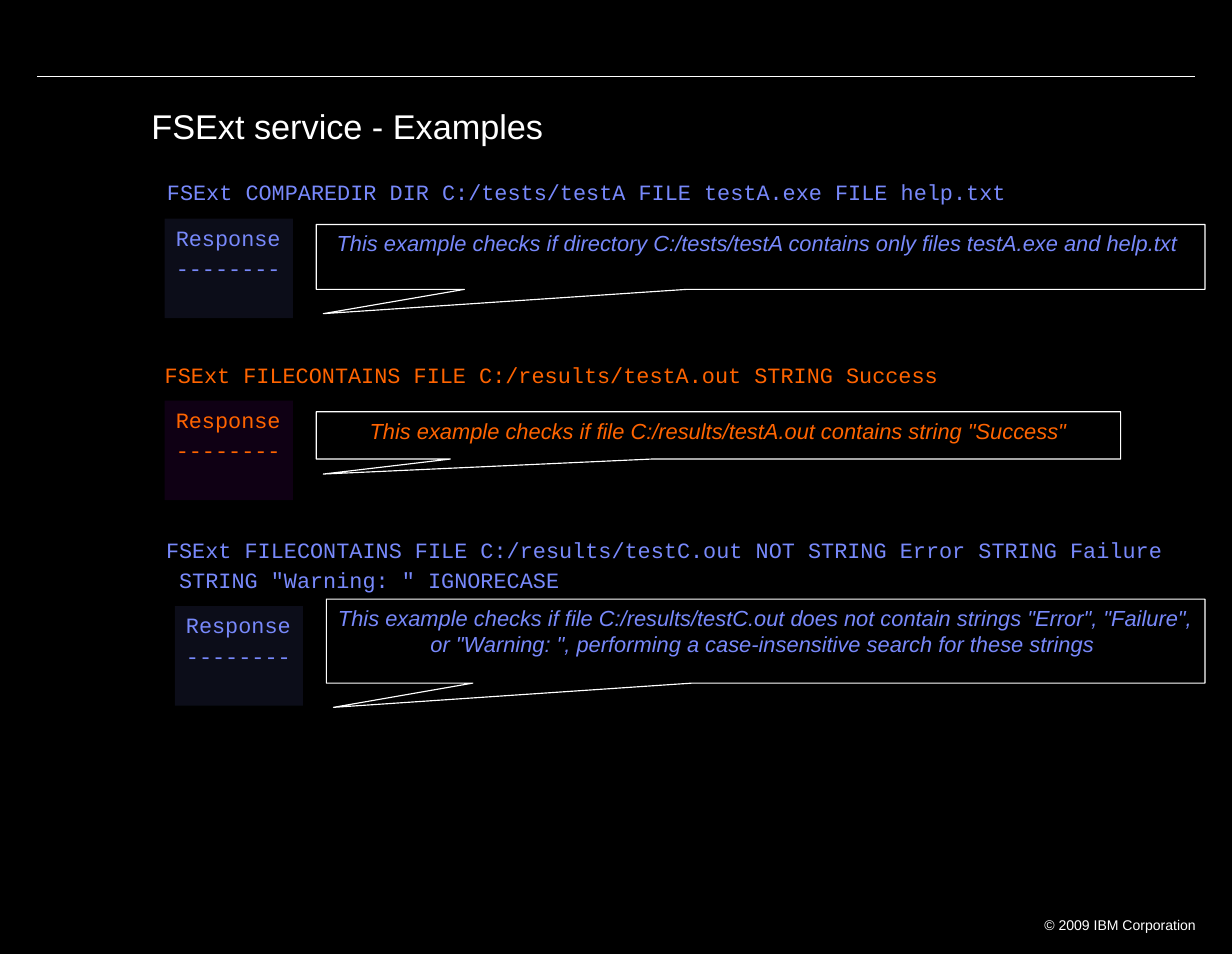
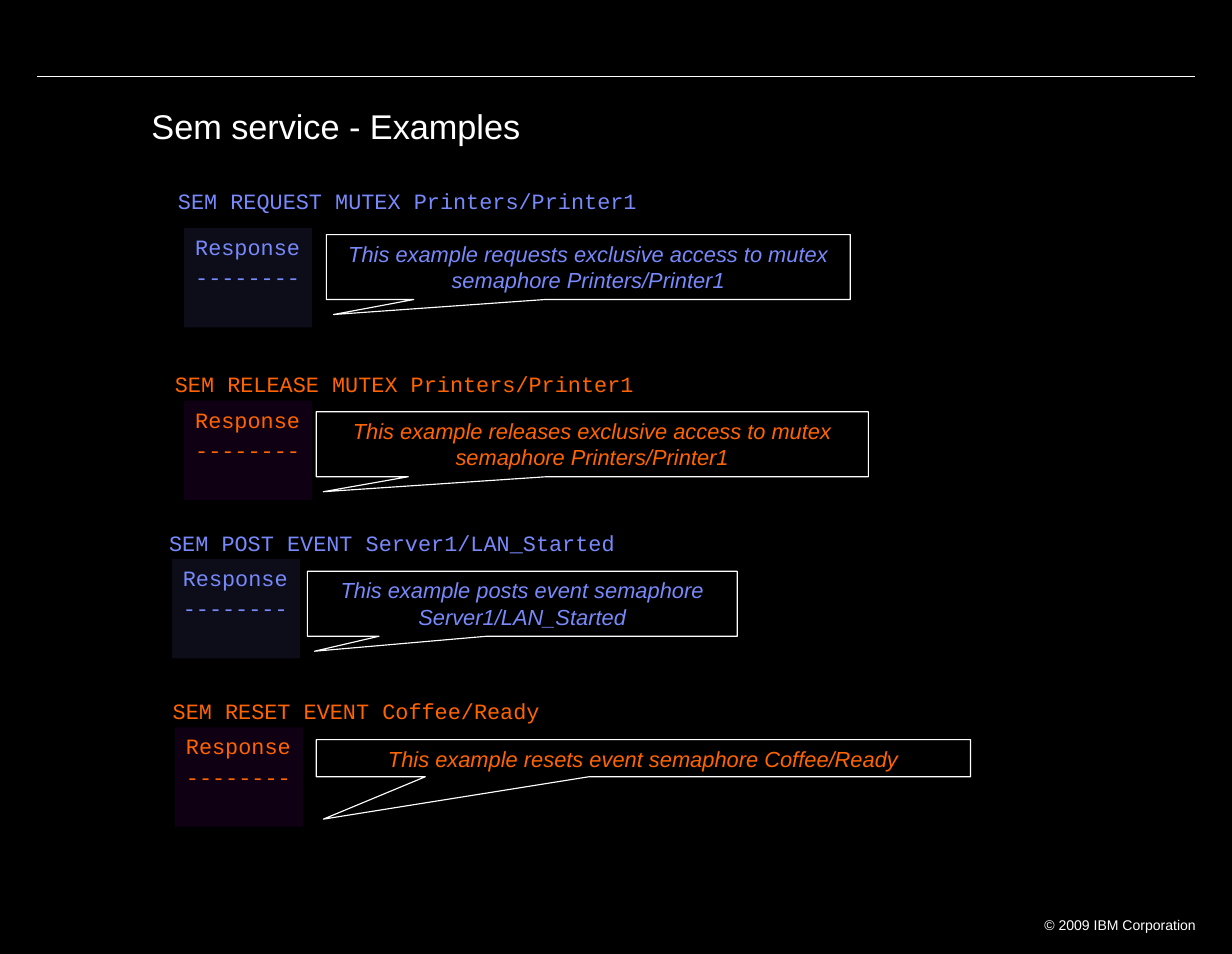
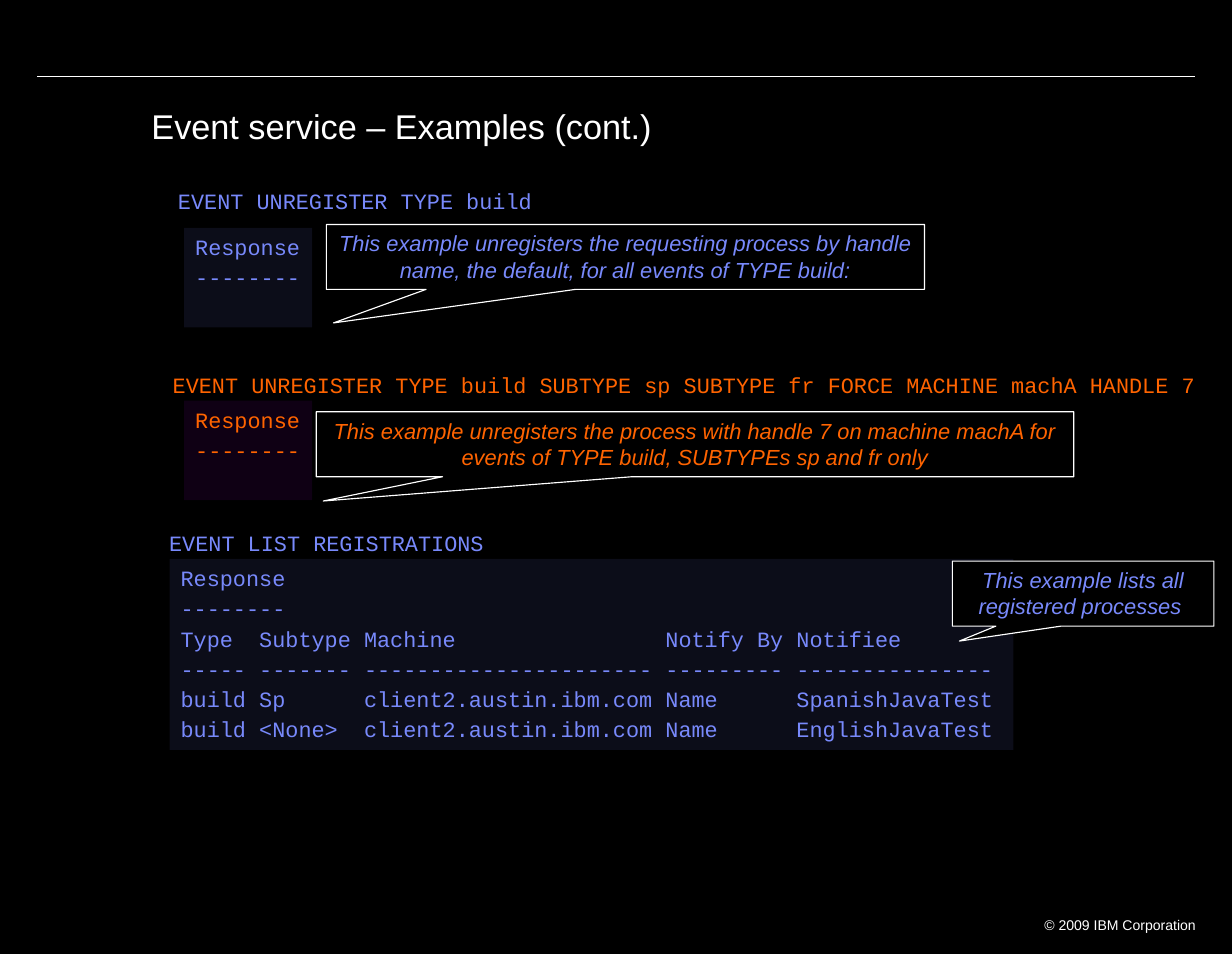
from lxml import etree
from pptx import Presentation
from pptx.dml.color import RGBColor
from pptx.enum.shapes import MSO_CONNECTOR, MSO_SHAPE
from pptx.enum.text import MSO_ANCHOR, MSO_AUTO_SIZE, PP_ALIGN
from pptx.oxml.ns import qn
from pptx.util import Cm, Pt

RECT, CALLOUT = MSO_SHAPE.RECTANGLE, MSO_SHAPE.RECTANGULAR_CALLOUT
STRAIGHT = MSO_CONNECTOR.STRAIGHT
LEFT, CENTER, RIGHT = PP_ALIGN.LEFT, PP_ALIGN.CENTER, PP_ALIGN.RIGHT
TOP, NO_FIT = MSO_ANCHOR.TOP, MSO_AUTO_SIZE.NONE

BLACK = RGBColor(0x00, 0x00, 0x00)
WHITE = RGBColor(0xFF, 0xFF, 0xFF)
BLUE = RGBColor(0x78, 0x89, 0xFB)
ORANGE = RGBColor(0xFF, 0x64, 0x00)
PURPLE = RGBColor(0x99, 0x00, 0xCC)
SCHEMES = [(BLUE, BLUE), (ORANGE, PURPLE)]  # text, response tint; used in turn

SANS, MONO = "Arial", "Courier New"
INSETS, WIDE_INSETS = (0.25, 0.13), (0.28, 0.15)
CHAR_W, LINE_H = 0.3, 0.69  # one 14 pt Courier New cell, in cm
TIP_X = 0.16  # callout tip, from the callout's left edge

FOOTER = "© 2009 IBM Corporation"
RESPONSE = ["Response", "--------"]
REGISTRATIONS = RESPONSE + [
    "Type  Subtype Machine                Notify By Notifiee",
    "----- ------- ---------------------- --------- ---------------",
    "build Sp      client2.austin.ibm.com Name      SpanishJavaTest",
    "build <None>  client2.austin.ibm.com Name      EnglishJavaTest",
]

# Each example: command lines and place, response lines and place,
# note, note box (left, top, width, height), drop of the note's tip.
SLIDES = [
    ("FSExt service - Examples", [
        (["FSExt COMPAREDIR DIR C:/tests/testA FILE testA.exe FILE help.txt"],
         (3.53, 3.91), RESPONSE, (3.73, 4.95),
         "This example checks if directory C:/tests/testA contains only files "
         "testA.exe and help.txt ",
         (7.16, 5.08, 20.12, 1.47), 0.55),
        (["FSExt FILECONTAINS FILE C:/results/testA.out STRING Success"],
         (3.48, 8.05), RESPONSE, (3.73, 9.07),
         'This example checks if file C:/results/testA.out contains string "Success"',
         (7.16, 9.32, 18.21, 1.07), 0.34),
        (["FSExt FILECONTAINS FILE C:/results/testC.out NOT STRING Error STRING Failure",
          ' STRING "Warning: " IGNORECASE'],
         (3.51, 12.01), RESPONSE, (3.96, 13.72),
         "This example checks if file C:/results/testC.out does not contain strings "
         '"Error", "Failure", or "Warning: ", performing a case-insensitive search '
         "for these strings ",
         (7.39, 13.56, 19.89, 1.9), 0.55),
    ]),
    ("Sem service - Examples", [
        (["SEM REQUEST MUTEX Printers/Printer1"],
         (3.78, 4.11), RESPONSE, (4.17, 5.16),
         "This example requests exclusive access to mutex semaphore Printers/Printer1",
         (7.39, 5.31, 11.86, 1.47), 0.34),
        (["SEM RELEASE MUTEX Printers/Printer1"],
         (3.71, 8.26), RESPONSE, (4.17, 9.07),
         "This example releases exclusive access to mutex semaphore Printers/Printer1",
         (7.16, 9.32, 12.5, 1.47), 0.34),
        (["SEM POST EVENT Server1/LAN_Started"],
         (3.58, 11.86), RESPONSE, (3.89, 12.65),
         "This example posts event semaphore Server1/LAN_Started",
         (6.96, 12.93, 9.73, 1.47), 0.34),
        (["SEM RESET EVENT Coffee/Ready"],
         (3.66, 15.67), RESPONSE, (3.96, 16.46),
         "This example resets event semaphore Coffee/Ready",
         (7.16, 16.74, 14.81, 0.84), 0.96),
    ]),
    ("Event service – Examples (cont.)", [
        (["EVENT UNREGISTER TYPE build"],
         (3.78, 4.11), RESPONSE, (4.17, 5.16),
         "This example unregisters the requesting process by handle name, "
         "the default, for all events of TYPE build:",
         (7.39, 5.08, 13.54, 1.47), 0.76),
        (["EVENT UNREGISTER TYPE build SUBTYPE sp SUBTYPE fr FORCE MACHINE machA HANDLE 7"],
         (3.66, 8.28), RESPONSE, (4.17, 9.07),
         "This example unregisters the process with handle 7 on machine machA "
         "for events of TYPE build, SUBTYPEs sp and fr only",
         (7.16, 9.32, 17.15, 1.47), 0.55),
        (["EVENT LIST REGISTRATIONS"],
         (3.58, 11.86), REGISTRATIONS, (3.84, 12.65),
         "This example lists all registered processes ",
         (21.56, 12.7, 5.92, 1.47), 0.34),
    ]),
]


def set_text(sp, lines, size, color, font=SANS, align=LEFT, insets=INSETS,
             wrap=True, italic=False, after=0, spacing=None):
    tf = sp.text_frame
    tf.word_wrap, tf.auto_size, tf.vertical_anchor = wrap, NO_FIT, TOP
    tf.margin_left = tf.margin_right = Cm(insets[0])
    tf.margin_top = tf.margin_bottom = Cm(insets[1])
    tf.text = "\n".join(lines)
    for p in tf.paragraphs:
        p.alignment, p.space_after = align, Pt(after)
        if spacing:
            p.line_spacing = spacing
        for r in p.runs:
            r.font.name, r.font.size, r.font.italic = font, Pt(size), italic
            r.font.color.rgb = color


def add_text(s, box, *args, **style):
    set_text(s.shapes.add_textbox(*map(Cm, box)), *args, **style)


def add_box(s, kind, box, fill):
    sp = s.shapes.add_shape(kind, *map(Cm, box))
    sp.shadow.inherit = False
    sp.fill.solid()
    sp.fill.fore_color.rgb = fill
    return sp


def code_box(place, lines, min_rows=1):
    """Box that just holds the monospaced lines."""
    width = CHAR_W * max(map(len, lines)) + 2 * INSETS[0]
    return *place, width, LINE_H * max(len(lines), min_rows) + 0.18


def add_code(sp, lines, color):
    set_text(sp, lines, 14, color, font=MONO, wrap=False, after=2.6)


def add_response(s, place, lines, color, tint):
    sp = add_box(s, RECT, code_box(place, lines, min_rows=3), tint)
    sp.line.fill.background()
    clr = sp.fill._xPr.find(qn("a:solidFill"))[0]
    etree.SubElement(clr, qn("a:alpha"), val="10000")
    add_code(sp, lines, color)


def add_note(s, box, note, drop, color):
    sp = add_box(s, CALLOUT, box, BLACK)
    sp.line.color.rgb, sp.line.width = WHITE, Pt(0.75)
    sp.adjustments[0] = TIP_X / box[2] - 0.5
    sp.adjustments[1] = drop / box[3] + 0.5
    set_text(sp, [note], 14, color, align=CENTER, italic=True)


def add_frame(s, title):
    """Rule, footer and title that every slide carries."""
    rule = s.shapes.add_connector(STRAIGHT, Cm(0.84), Cm(1.73), Cm(27.05), Cm(1.73))
    rule.line.color.rgb, rule.line.width = WHITE, Pt(0.75)
    etree.SubElement(rule._element.spPr, qn("a:effectLst"))
    add_text(s, (23.16, 20.6, 4.19, 0.58), [FOOTER], 9, WHITE,
             align=RIGHT, insets=WIDE_INSETS, wrap=False)
    add_text(s, (3.15, 2.34, 24, 1.57), [title], 22, WHITE,
             insets=WIDE_INSETS, spacing=0.9)


def main():
    prs = Presentation()
    prs.slide_width, prs.slide_height = Cm(27.89), Cm(21.59)
    background = prs.slide_master.background.fill
    background.solid()
    background.fore_color.rgb = BLACK

    for title, examples in SLIDES:
        s = prs.slides.add_slide(prs.slide_layouts[6])
        add_frame(s, title)
        for i, (command, place, reply, reply_place, note, box, drop) in enumerate(examples):
            color, tint = SCHEMES[i % len(SCHEMES)]
            add_code(s.shapes.add_textbox(*map(Cm, code_box(place, command))), command, color)
            add_response(s, reply_place, reply, color, tint)
            add_note(s, box, note, drop, color)
    prs.save("out.pptx")


if __name__ == "__main__":
    main()
